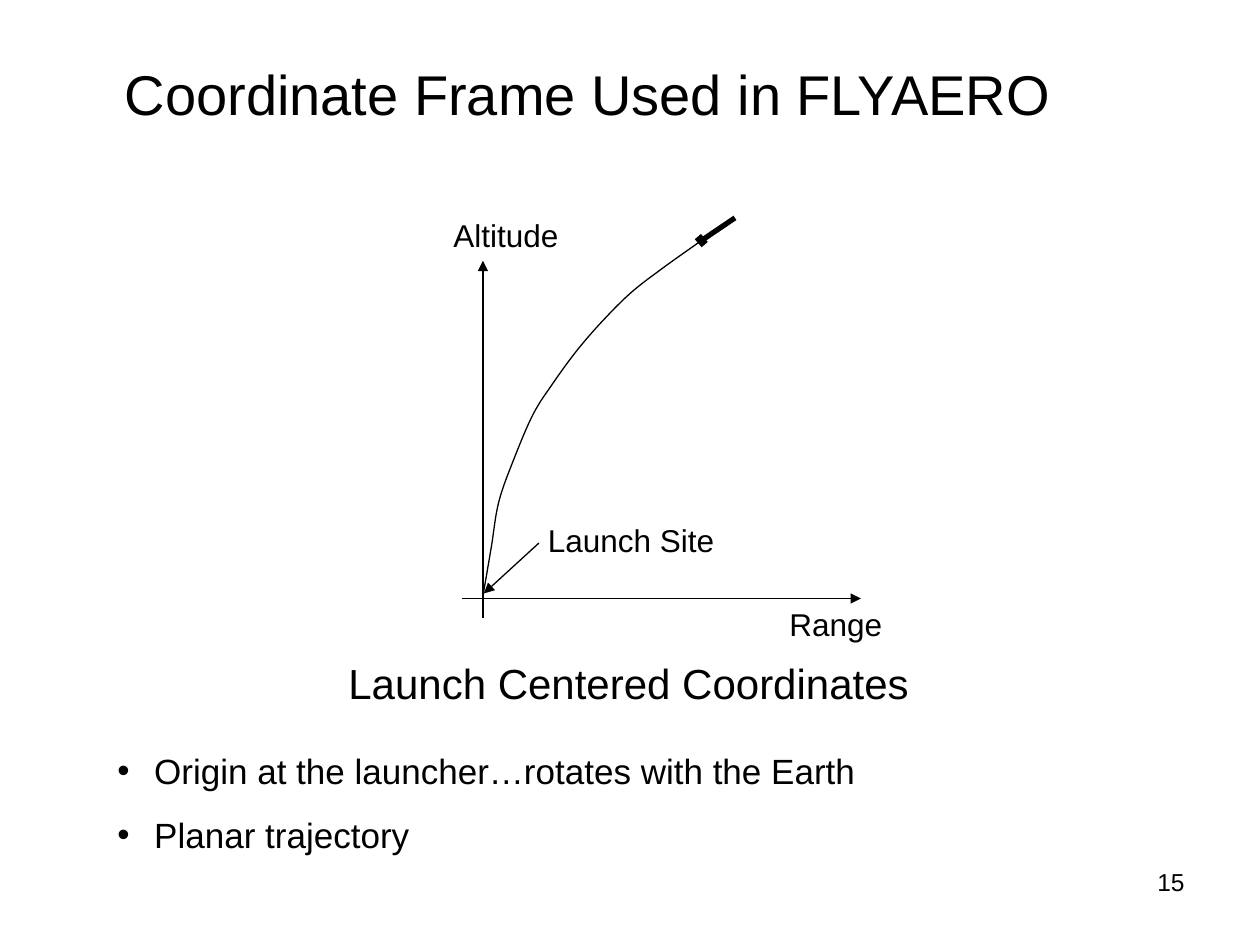
from lxml.etree import SubElement
from pptx import Presentation
from pptx.dml.color import RGBColor
from pptx.enum.shapes import MSO_CONNECTOR as Connector
from pptx.enum.text import MSO_ANCHOR as Anchor, PP_ALIGN as Align
from pptx.oxml.ns import qn
from pptx.util import Pt


def color(hex_value):
    return RGBColor.from_string(hex_value)


def write(shape, lines, size, align=Align.LEFT, bullet=None):
    frame = shape.text_frame
    frame_format = {
        "word_wrap": True, "vertical_anchor": Anchor.TOP,
        "margin_left": Pt(7.2), "margin_right": Pt(7.2),
        "margin_top": Pt(3.6), "margin_bottom": Pt(3.6),
    }
    for name, value in frame_format.items():
        setattr(frame, name, value)
    for index, line in enumerate(lines):
        paragraph = frame.paragraphs[0] if index == 0 else frame.add_paragraph()
        paragraph.alignment = align
        paragraph.line_spacing = 1.0
        paragraph.space_before = Pt(12.5 if index else 0)
        if bullet:
            properties = paragraph._p.get_or_add_pPr()
            properties.set("marL", str(Pt(21)))
            properties.set("indent", str(Pt(-21)))
            SubElement(properties, qn("a:buFont"), typeface="Arial")
            SubElement(properties, qn("a:buChar"), char=bullet)
        run = paragraph.add_run()
        run.text = line
        for name, value in {"name": "Arial", "size": Pt(size), "bold": False}.items():
            setattr(run.font, name, value)
        run.font.color.rgb = color("000000")


presentation = Presentation()
presentation.slide_width, presentation.slide_height = Pt(720), Pt(540)
slide = presentation.slides.add_slide(presentation.slide_layouts[5])
shapes = slide.shapes

title = shapes.title
title_place = {"left": Pt(48), "top": Pt(30.5), "width": Pt(576), "height": Pt(46)}
for name, value in title_place.items():
    setattr(title, name, value)
write(title, ["Coordinate Frame Used in FLYAERO"], 32, Align.CENTER)

origin_x, origin_y = 276, 342
lines = [
    ((origin_x, 353), (origin_x, 149), 0.75, True),
    ((264, origin_y), (492, origin_y), 0.75, True),
    ((308, 310.3), (276.5, 339.1), 0.75, True),
    ((420, 124.5), (401.8, 136.8), 3, False),
    ((402.5, 136), (399, 139), 6, False),
]
for start, end, width, arrow in lines:
    connector = shapes.add_connector(Connector.STRAIGHT, *map(Pt, start + end))
    connector.line.width = Pt(width)
    connector.line.color.rgb = color("000000")
    if arrow:
        SubElement(connector.line._get_or_add_ln(), qn("a:tailEnd"), type="triangle")
    SubElement(connector._element.spPr, qn("a:effectLst"))

knots = [
    (276, 340.6), (280.8, 312.5), (285.1, 286.6), (293.8, 262.1),
    (304.6, 236.9), (316.1, 218.9), (329.8, 200.2), (344.2, 183.6),
    (360, 167.8), (376.6, 154.8), (401.8, 136.8),
]
steps = 8
padded = [knots[0], *knots, knots[-1]]
trajectory_points = []
for before, start, end, after in zip(padded, padded[1:], padded[2:], padded[3:]):
    for step in range(1, steps + 1):
        t = step / steps
        trajectory_points.append(tuple(
            Pt(b + t * (c - a + t * (2 * a - 5 * b + 4 * c - d
                                     + t * (3 * b - 3 * c + d - a))) / 2)
            for a, b, c, d in zip(before, start, end, after)
        ))
builder = shapes.build_freeform(*map(Pt, knots[0]))
builder.add_line_segments(trajectory_points, close=False)
trajectory = builder.convert_to_shape()
trajectory.shadow.inherit = False
trajectory.fill.background()
trajectory.line.width = Pt(0.75)
trajectory.line.color.rgb = color("000000")

labels = [
    ("Launch Centered Coordinates", (192, 372, 348, 36), 24, Align.LEFT),
    ("Range", (444, 342, 138, 29), 18, Align.LEFT),
    ("Altitude", (252, 120, 90, 29), 18, Align.LEFT),
    ("Launch Site", (306, 294, 162, 29), 18, Align.LEFT),
    ("15", (516, 492, 168, 37), 14, Align.RIGHT),
]
for text, place, size, align in labels:
    write(shapes.add_textbox(*map(Pt, place)), [text], size, align)

notes = ["Origin at the launcher…rotates with the Earth", "Planar trajectory"]
write(shapes.add_textbox(Pt(60), Pt(425), Pt(588), Pt(68)), notes, 20, bullet="•")

presentation.save("out.pptx")
